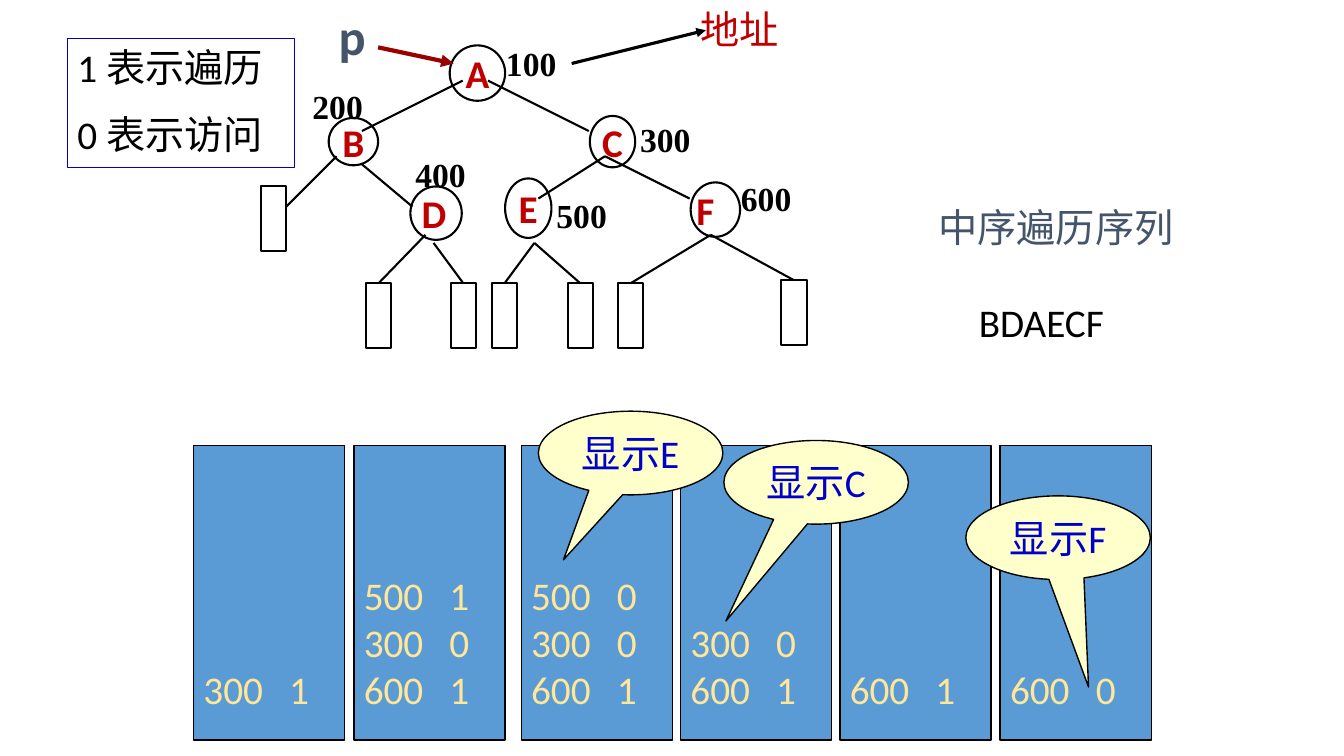
from dataclasses import dataclass

from lxml import etree
from pptx import Presentation
from pptx import util as u
from pptx.dml.color import RGBColor
from pptx.enum import shapes, text
from pptx.oxml import ns

BLACK, RED, SLATE, BLUE = "000000", "C00000", "44546A", "0000CC"
KIND = shapes.MSO_SHAPE
ALIGN = text.PP_ALIGN
ANCHOR = text.MSO_ANCHOR


@dataclass
class Style:
    """Look of the text in one shape."""
    color: str = BLACK
    size: float = 28
    bold: bool = False
    font: str = "Calibri"
    align: ALIGN = ALIGN.LEFT
    anchor: ANCHOR = ANCHOR.TOP
    wrap: bool = True
    gap: float = 0
    tab: float = 0
    right: float = 0.1
    bottom: float = 0.05


@dataclass
class Node:
    """Circled letter of the tree with its address beside it."""
    letter: str
    box: tuple
    address: str
    address_at: tuple
    right: float = 0


@dataclass
class Stack:
    """Stack snapshot listed from top to bottom."""
    left: float
    entries: list


@dataclass
class Callout:
    """Speech bubble and the offset of its tip."""
    words: str
    left: float
    top: float
    tip: tuple


@dataclass
class Edge:
    """Straight line, with the index of the leaf it ends on."""
    start: tuple
    end: tuple
    leaf: int | None = None
    color: str = BLACK
    width: float = 1.5
    arrow: bool = False


NODES = [
    Node("A", (4.46, 0.45, 0.55, 0.55), "100", (4.92, 0.38)),
    Node("B", (3.26, 1.17, 0.49, 0.47), "200", (3, 0.8)),
    Node("C", (5.85, 1.15, 0.45, 0.51), "300", (6.25, 1.13)),
    Node("D", (4.07, 1.85, 0.51, 0.53), "400", (4.02, 1.48), 0.04),
    Node("E", (5.01, 1.77, 0.46, 0.59), "500", (5.42, 1.88)),
    Node("F", (6.85, 1.81, 0.49, 0.54), "600", (7.25, 1.72), 0.2),
]
LEAVES = [(2.59, 1.85), (3.63, 2.81), (4.47, 2.81), (4.88, 2.81),
          (5.63, 2.81), (6.13, 2.81), (7.75, 2.78)]
EDGES = [
    Edge((4.59, 0.8), (3.59, 1.3)),
    Edge((4.84, 0.8), (5.84, 1.3)),
    Edge((3.59, 1.63), (4.09, 2.05)),
    Edge((6, 1.55), (5.34, 1.97)),
    Edge((6, 1.55), (6.84, 1.97)),
    Edge((3.34, 1.55), (2.84, 2.05)),
    Edge((4.22, 2.33), (3.72, 2.83), 1),
    Edge((4.3, 2.41), (4.55, 2.83), 2),
    Edge((5.3, 2.41), (4.97, 2.83), 3),
    Edge((5.3, 2.41), (5.72, 2.83), 4),
    Edge((7.05, 2.33), (6.3, 2.83), 5),
    Edge((7.05, 2.33), (7.8, 2.83), 6),
    Edge((5.67, 0.63), (7, 0.3), width=2.25, arrow=True),
    Edge((3.75, 0.47), (4.5, 0.63), color="990000", width=3, arrow=True),
]
STACKS = [
    Stack(1.92, ["300\t1"]),
    Stack(3.51, ["500\t1", "300\t0", "600\t1"]),
    Stack(5.17, ["500\t0", "300\t0", "600\t1"]),
    Stack(6.75, ["300\t0", "600\t1"]),
    Stack(8.33, ["600\t1"]),
    Stack(9.92, ["600\t0"]),
]
CALLOUTS = [
    Callout("显示E", 5.34, 4.08, (-0.364, 1.276)),
    Callout("显示C", 7.18, 4.37, (-0.489, 1.658)),
    Callout("显示F", 9.58, 4.92, (0.165, 1.784)),
]
LABELS = [
    (["中序遍历序列"], (9.21, 1.97, 3.42, 0.57), Style(SLATE, font="Noto Sans CJK SC")),
    (["BDAECF"], (9.61, 2.91, 2.33, 0.57), Style()),
    (["地址"], (6.85, 0, 1.25, 0.57), Style(RED)),
    (["p"], (3.26, 0, 0.58, 0.7), Style(SLATE, 36, True)),
]


def rgb(color: str) -> RGBColor:
    """Turn a hex string into a colour."""
    return RGBColor.from_string(color)


def assign(target, values: dict) -> None:
    """Set every attribute named in the values."""
    for name, value in values.items():
        setattr(target, name, value)


def write(shape, lines: list, style: Style) -> None:
    """Fill a shape with one styled paragraph per line."""
    frame = shape.text_frame
    assign(frame, {"word_wrap": style.wrap, "vertical_anchor": style.anchor,
                   "margin_left": u.Inches(min(style.right, 0.1) if style.wrap else 0),
                   "margin_right": u.Inches(style.right),
                   "margin_top": u.Inches(0.05 if style.wrap else 0),
                   "margin_bottom": u.Inches(style.bottom if style.wrap else 0)})
    for index, line in enumerate(lines):
        paragraph = frame.add_paragraph() if index else frame.paragraphs[0]
        paragraph.alignment = style.align
        if index and style.gap:
            paragraph.space_before = u.Pt(style.gap)
        if style.tab:
            tabs = etree.SubElement(paragraph._p.get_or_add_pPr(), ns.qn("a:tabLst"))
            etree.SubElement(tabs, ns.qn("a:tab"), pos=str(u.Inches(style.tab)), algn="l")
        run = paragraph.add_run()
        run.text = line
        assign(run.font, {"name": style.font, "size": u.Pt(style.size), "bold": style.bold})
        run.font.color.rgb = rgb(style.color)


def add_label(slide, lines: list, box: tuple, style: Style) -> None:
    """Add a text box."""
    write(slide.shapes.add_textbox(*map(u.Inches, box)), lines, style)


def add_figure(slide, kind: KIND, box: tuple, fill: str = "", line: str = BLACK,
               width: float = 1.5):
    """Add an outlined preset shape, filled when a colour is given."""
    shape = slide.shapes.add_shape(kind, *map(u.Inches, box))
    shape.shadow.inherit = False
    if fill:
        shape.fill.solid()
        shape.fill.fore_color.rgb = rgb(fill)
    else:
        shape.fill.background()
    shape.line.color.rgb = rgb(line)
    shape.line.width = u.Pt(width)
    return shape


def add_edge(slide, edge: Edge, leaves: list) -> None:
    """Add a straight line, joined to its leaf or tipped with an arrow."""
    connector = slide.shapes.add_connector(
        shapes.MSO_CONNECTOR.STRAIGHT, *map(u.Inches, edge.start + edge.end))
    connector.line.color.rgb = rgb(edge.color)
    connector.line.width = u.Pt(edge.width)
    if edge.leaf is not None:
        connector.end_connect(leaves[edge.leaf], 0)
    if edge.arrow:
        etree.SubElement(connector.line._get_or_add_ln(), ns.qn("a:tailEnd"), type="triangle")
    etree.SubElement(connector._element.spPr, ns.qn("a:effectLst"))


def main() -> None:
    """Build the slide and save it."""
    presentation = Presentation()
    assign(presentation, {"slide_width": u.Inches(13.33), "slide_height": u.Inches(7.5)})
    slide = presentation.slides.add_slide(presentation.slide_layouts[6])
    for stack in STACKS:
        shape = add_figure(slide, KIND.RECTANGLE, (stack.left, 4.42, 1.5, 2.92), "5B9BD5", width=1)
        write(shape, stack.entries,
              Style("FFE699", anchor=ANCHOR.BOTTOM, tab=0.85, bottom=0.27))
    centred = {"align": ALIGN.CENTER, "anchor": ANCHOR.MIDDLE, "wrap": False}
    for callout in CALLOUTS:
        shape = add_figure(slide, KIND.OVAL_CALLOUT, (callout.left, callout.top, 1.83, 0.83),
                           "FFFFCC", width=1)
        shape.adjustments[0], shape.adjustments[1] = callout.tip
        write(shape, [callout.words], Style(BLUE, right=0, **centred))
    for lines, box, style in LABELS:
        add_label(slide, lines, box, style)
    for node in NODES:
        shape = add_figure(slide, KIND.OVAL, node.box)
        write(shape, [node.letter], Style(RED, bold=True, right=node.right, **centred))
        add_label(slide, [node.address], (*node.address_at, 0.75, 0.5),
                  Style(size=24, bold=True, font="Times New Roman"))
    leaves = [add_figure(slide, KIND.RECTANGLE, (*corner, 0.25, 0.64)) for corner in LEAVES]
    for edge in EDGES:
        add_edge(slide, edge, leaves)
    legend = add_figure(slide, KIND.RECTANGLE, (0.67, 0.38, 2.25, 1.28), line=BLUE, width=1)
    write(legend, ["1 表示遍历", "0 表示访问"], Style(gap=14))
    presentation.save("out.pptx")


if __name__ == "__main__":
    main()
